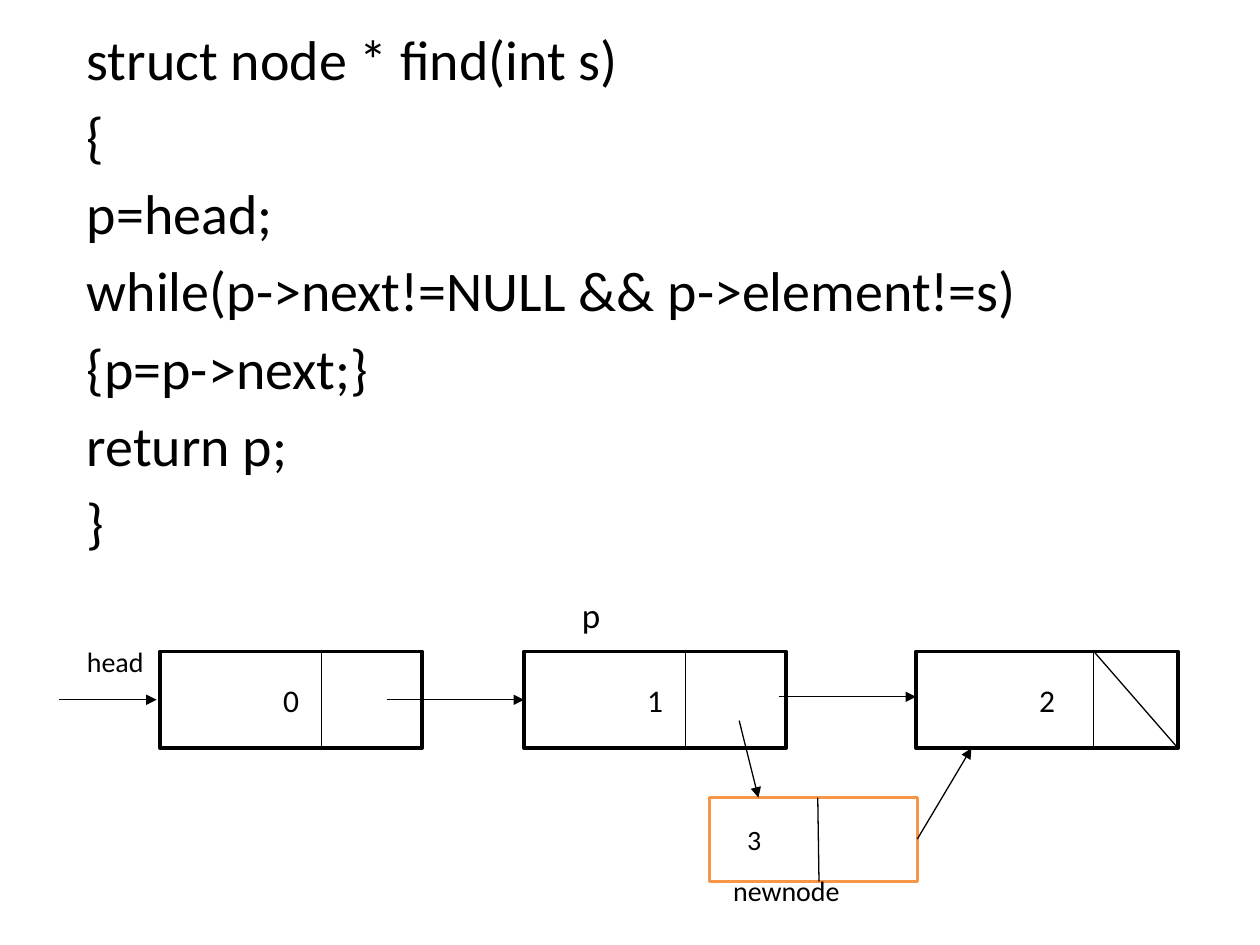
from lxml import etree
from pptx import Presentation
from pptx.dml.color import RGBColor
from pptx.enum.shapes import MSO_CONNECTOR, MSO_SHAPE
from pptx.enum.text import MSO_ANCHOR, PP_ALIGN
from pptx.oxml.ns import qn
from pptx.util import Pt

STRAIGHT = MSO_CONNECTOR.STRAIGHT
RECTANGLE = MSO_SHAPE.RECTANGLE
MIDDLE = MSO_ANCHOR.MIDDLE
LEFT, CENTER = PP_ALIGN.LEFT, PP_ALIGN.CENTER

COLORS = {"ink": "000000", "paper": "FFFFFF", "new": "F79646"}
FONT = "Calibri"

prs = Presentation()
prs.slide_width, prs.slide_height = Pt(720), Pt(540)
slide = prs.slides.add_slide(prs.slide_layouts[6])


def write(frame, lines, size, align=LEFT, space=0):
    frame.word_wrap = True
    frame.text = "\n".join(lines)
    for i, paragraph in enumerate(frame.paragraphs):
        paragraph.alignment = align
        paragraph.space_before = Pt(space if i else 0)
        for run in paragraph.runs:
            run.font.name = FONT
            run.font.size = Pt(size)
            run.font.color.rgb = RGBColor.from_string(COLORS["ink"])


def draw_line(x1, y1, x2, y2, arrow=False):
    link = slide.shapes.add_connector(STRAIGHT, Pt(x1), Pt(y1), Pt(x2), Pt(y2))
    link.line.width = Pt(0.75)
    link.line.color.rgb = RGBColor.from_string(COLORS["ink"])
    if arrow:
        etree.SubElement(link.line._get_or_add_ln(), qn("a:tailEnd"), type="triangle")
    etree.SubElement(link._element.spPr, qn("a:effectLst"))


# Code of the find function
code = slide.shapes.add_textbox(Pt(42.5), Pt(10.4), Pt(648), Pt(320))
write(code.text_frame, [
    "struct node * find(int s)",
    "{",
    "p=head;",
    "while(p->next!=NULL && p->element!=s)",
    "{p=p->next;}",
    "return p;",
    "}",
], 32, space=5.7)

# List nodes and the new node: value, left, top, width, height, line, size, align
NODE_TOP, NODE_WIDTH, NODE_HEIGHT = 372.2, 149.8, 55.4
NODE_BOTTOM = NODE_TOP + NODE_HEIGHT
NEW_TOP, NEW_HEIGHT = 455.8, 48
nodes = [
    (value, left, NODE_TOP, NODE_WIDTH, NODE_HEIGHT, "ink", 18, CENTER)
    for value, left in (("0", 91.4), ("1", 299.4), ("2", 523.4))
]
nodes.append(("3", 405.4, NEW_TOP, 118.8, NEW_HEIGHT, "new", 16, LEFT))
for value, left, top, width, height, outline, size, align in nodes:
    node = slide.shapes.add_shape(RECTANGLE, Pt(left), Pt(top), Pt(width), Pt(height))
    node.shadow.inherit = False
    node.fill.solid()
    node.fill.fore_color.rgb = RGBColor.from_string(COLORS["paper"])
    node.line.color.rgb = RGBColor.from_string(COLORS[outline])
    node.line.width = Pt(2)
    node.text_frame.vertical_anchor = MIDDLE
    if align == LEFT:
        node.text_frame.margin_left = Pt(21.5)
    write(node.text_frame, [value], size, align)

# Dividers between value and pointer
for x in (183.6, 391.7, 625):
    draw_line(x, NODE_TOP, x, NODE_BOTTOM)
draw_line(467.3, NEW_TOP, 468, NEW_TOP + NEW_HEIGHT)

# Null pointer of the last node
draw_line(625, NODE_TOP, 673.2, NODE_BOTTOM)

# Pointers: head, the two list links, and the links through the new node
for ends in (
    (33.8, 399.9, 89.5, 399.9),
    (221, 399.9, 299.4, 399.9),
    (445, 398.2, 523.4, 398.2),
    (422.4, 411.8, 433.4, NEW_TOP),
    (524.2, 479.5, 555.1, NODE_BOTTOM),
):
    draw_line(*ends, arrow=True)

# Labels
for name, left, top, width, size in (
    ("p", 332.5, 339.3, 20, 20),
    ("head", 49.7, 368.2, 40, 16),
    ("newnode", 419, 499, 80, 16),
):
    label = slide.shapes.add_textbox(Pt(left), Pt(top), Pt(width), Pt(size * 1.25))
    frame = label.text_frame
    frame.margin_left = frame.margin_right = frame.margin_top = frame.margin_bottom = 0
    write(frame, [name], size)

prs.save("out.pptx")
